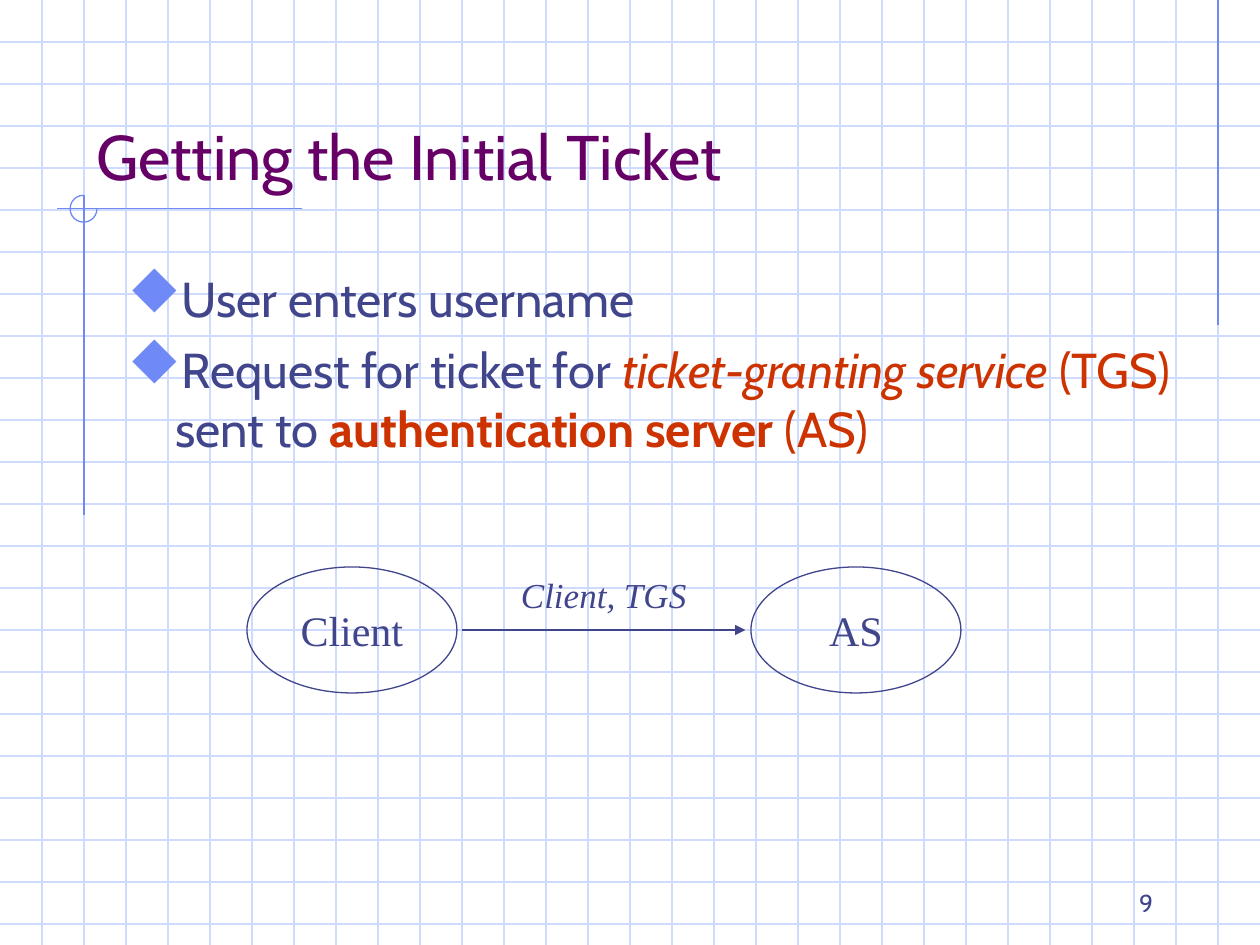
from dataclasses import dataclass
from typing import NamedTuple

from pptx import Presentation
from pptx.dml.color import RGBColor
from pptx.enum.shapes import MSO_CONNECTOR as Connector, MSO_SHAPE as Shape
from pptx.enum.text import MSO_ANCHOR as Anchor, PP_ALIGN as Align
from pptx.oxml.ns import qn
from pptx.oxml.xmlchemy import OxmlElement
from pptx.util import Emu, Inches, Pt

COLUMNS, ROWS = 30, 22.5
CELL = Inches(10) / COLUMNS


@dataclass(frozen=True)
class Theme:
    grid: str = "CFDBFD"
    accent: str = "6F89F7"
    title: str = "660066"
    ink: str = "40458C"
    highlight: str = "CC3300"
    sans: str = "Cabin"
    serif: str = "Times New Roman"
    symbols: str = "Wingdings"
    title_size: int = 36
    body_size: int = 28
    node_size: int = 24
    label_size: int = 20
    number_size: int = 14
    line_width: float = 0.75


class Box(NamedTuple):
    """A rectangle in grid columns and rows."""
    left: float
    top: float
    width: float
    height: float


class Line(NamedTuple):
    """A straight line in grid columns and rows."""
    x1: float
    y1: float
    x2: float
    y2: float


class Span(NamedTuple):
    text: str
    color: str
    style: dict = {}


class Node(NamedTuple):
    name: str
    box: Box


THEME = Theme()
ITALIC, BOLD = {"italic": True}, {"bold": True}

GRID_LINES = [Line(0, row, COLUMNS, row) for row in range(1, int(ROWS) + 1)] + [
    Line(column, 0, column, ROWS) for column in range(1, COLUMNS)
]
ACCENT_LINES = [
    Line(29, 0, 29, 7.75),
    Line(7.2, 4.97, 1.35, 4.97),
    Line(2, 4.65, 2, 12.27),
]
BULLETS = [
    [Span("User enters username", THEME.ink)],
    [
        Span("Request for ticket for ", THEME.ink),
        Span("ticket-granting service ", THEME.highlight, ITALIC),
        Span("(TGS)", THEME.highlight),
        Span(" sent to ", THEME.ink),
        Span("authentication server", THEME.highlight, BOLD),
        Span(" (AS)", THEME.highlight),
    ],
]
NODES = [
    Node("Client", Box(5.88, 13.5, 5, 3)),
    Node("AS", Box(17.88, 13.5, 5, 3)),
]


def cells(values) -> list[Emu]:
    return [Emu(round(value * CELL)) for value in values]


def rgb(color: str) -> RGBColor:
    return RGBColor.from_string(color)


def apply(target, values: dict) -> None:
    for name, value in values.items():
        setattr(target, name, value)


def add_element(parent, tag: str, **attributes: str):
    element = OxmlElement(tag)
    for name, value in attributes.items():
        element.set(name, value)
    parent.append(element)
    return element


def style_line(line, color: str) -> None:
    line.color.rgb = rgb(color)
    line.width = Pt(THEME.line_width)


def draw_line(page, ends: Line, color: str, arrow: bool = False) -> None:
    connector = page.shapes.add_connector(Connector.STRAIGHT, *cells(ends))
    style_line(connector.line, color)
    if arrow:
        add_element(connector.line._get_or_add_ln(), "a:tailEnd", type="triangle")
    add_element(connector._element.find(qn("p:spPr")), "a:effectLst")


def draw_outline(page, kind: Shape, box: Box, color: str):
    shape = page.shapes.add_shape(kind, *cells(box))
    shape.shadow.inherit = False
    shape.fill.background()
    style_line(shape.line, color)
    return shape


def write(para, spans: list[Span], font: str, size: int) -> None:
    for span in spans:
        run = para.add_run()
        run.text = span.text
        apply(run.font, {"name": font, "size": Pt(size), **span.style})
        run.font.color.rgb = rgb(span.color)


def add_text(page, box: Box, spans: list[Span], font: str, size: int,
             align=Align.LEFT, anchor=Anchor.TOP) -> None:
    frame = page.shapes.add_textbox(*cells(box)).text_frame
    apply(frame, {"word_wrap": True, "vertical_anchor": anchor})
    frame.paragraphs[0].alignment = align
    write(frame.paragraphs[0], spans, font, size)


def add_bullet(para) -> None:
    """Hang a diamond, which is the letter u of the symbol font."""
    properties = para._p.get_or_add_pPr()
    indent = Inches(0.38)
    properties.set("marL", str(indent))
    properties.set("indent", str(-indent))
    color = add_element(properties, "a:buClr")
    add_element(color, "a:srgbClr", val=THEME.accent)
    add_element(properties, "a:buSzPct", val="110000")
    add_element(properties, "a:buFont", typeface=THEME.symbols, charset="2")
    add_element(properties, "a:buChar", char="u")


def add_bullets(page, box: Box, items: list[list[Span]]) -> None:
    frame = page.shapes.add_textbox(*cells(box)).text_frame
    frame.word_wrap = True
    for index, spans in enumerate(items):
        para = frame.add_paragraph() if index else frame.paragraphs[0]
        if index:
            para.space_before = Pt(7)
        add_bullet(para)
        write(para, spans, THEME.sans, THEME.body_size)


def draw_node(page, node: Node) -> None:
    frame = draw_outline(page, Shape.OVAL, node.box, THEME.ink).text_frame
    frame.vertical_anchor = Anchor.MIDDLE
    frame.paragraphs[0].alignment = Align.CENTER
    write(frame.paragraphs[0], [Span(node.name, THEME.ink)], THEME.serif, THEME.node_size)


def draw_background(page) -> None:
    for ends in GRID_LINES:
        draw_line(page, ends, THEME.grid)
    for ends in ACCENT_LINES:
        draw_line(page, ends, THEME.accent)
    arc = draw_outline(page, Shape.ARC, Box(1.67, 4.65, 0.64, 0.64), THEME.accent)
    arc.adjustments[0], arc.adjustments[1] = 0, 162  # 0 to 270 degrees


def main() -> None:
    deck = Presentation()
    deck.slide_width, deck.slide_height = cells((COLUMNS, ROWS))
    page = deck.slides.add_slide(deck.slide_layouts[6])
    draw_background(page)
    add_text(page, Box(2, 1, 25.5, 3.75), [Span("Getting the Initial Ticket", THEME.title)],
             THEME.sans, THEME.title_size, anchor=Anchor.BOTTOM)
    add_bullets(page, Box(2.75, 6.25, 25.5, 13.5), BULLETS)
    for node in NODES:
        draw_node(page, node)
    draw_line(page, Line(11, 15, 17.75, 15), THEME.ink, arrow=True)
    add_text(page, Box(11.25, 13.5, 6.25, 1.31), [Span("Client, TGS", THEME.ink, ITALIC)],
             THEME.serif, THEME.label_size, Align.CENTER)
    add_text(page, Box(21.5, 20.5, 6.25, 1.5), [Span("9", THEME.ink)],
             THEME.sans, THEME.number_size, Align.RIGHT, Anchor.BOTTOM)
    deck.save("out.pptx")


if __name__ == "__main__":
    main()
